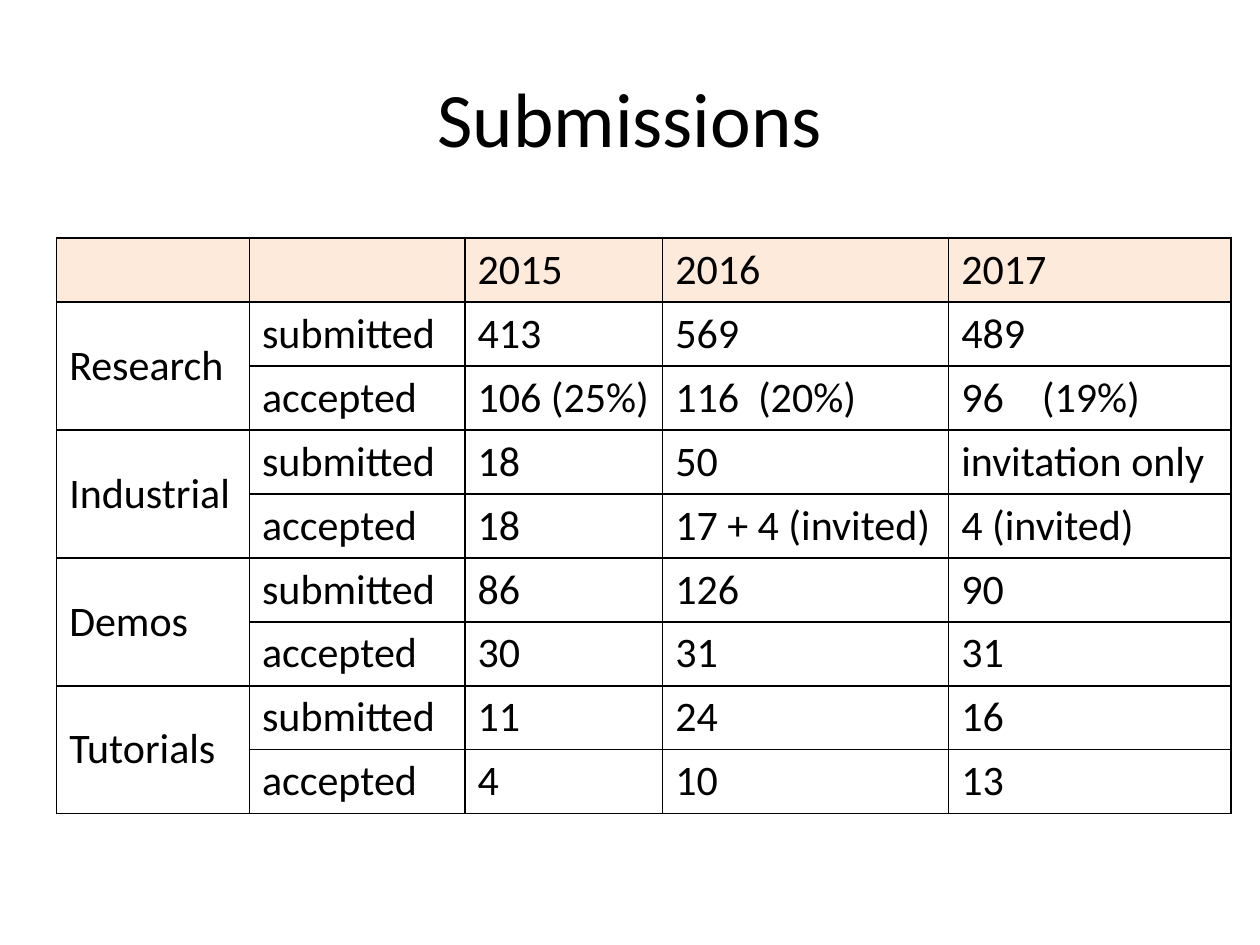
import pptx
import pptx.dml.color
import pptx.enum.text
import pptx.oxml
import pptx.oxml.ns
import pptx.util

WIDTH, HEIGHT = 10, 7.5
FONT = "Calibri"
COLORS = {"text": "000000", "border": "000000", "header": "FDEADA"}
COLUMN_WIDTHS = [1.53, 1.71, 1.57, 2.27, 2.24]
TABLE_HEIGHT = 4.57
YEARS = ["2015", "2016", "2017"]
TRACKS = {
    "Research": (["413", "569", "489"],
                 ["106 (25%)", "116  (20%)", "96    (19%)"]),
    "Industrial": (["18", "50", "invitation only"],
                   ["18", "17 + 4 (invited)", "4 (invited)"]),
    "Demos": (["86", "126", "90"], ["30", "31", "31"]),
    "Tutorials ": (["11", "24", "16"], ["4", "10", "13"]),
}


def color(name):
    """Look up a named colour."""
    return pptx.dml.color.RGBColor.from_string(COLORS[name])


def write(frame, text, size):
    """Put text into a frame and format its runs."""
    frame.text = text
    for paragraph in frame.paragraphs:
        for span in paragraph.runs:
            span.font.name = FONT
            span.font.size = pptx.util.Pt(size)
            span.font.color.rgb = color("text")


def add_title(page, text):
    """Add the centred slide title."""
    box = page.shapes.add_textbox(*(pptx.util.Inches(share) for share in (
        0.05 * WIDTH, 0.04 * HEIGHT, 0.9 * WIDTH, HEIGHT / 6)))
    frame = box.text_frame
    frame.word_wrap = True
    frame.vertical_anchor = pptx.enum.text.MSO_ANCHOR.MIDDLE
    write(frame, text, 44)
    frame.paragraphs[0].alignment = pptx.enum.text.PP_ALIGN.CENTER


def add_borders(cell):
    """Draw a 1 pt line on all four sides of a cell."""
    properties = cell._tc.get_or_add_tcPr()
    for side in ("lnL", "lnR", "lnT", "lnB"):
        properties.append(pptx.oxml.parse_xml(
            f'<a:{side} {pptx.oxml.ns.nsdecls("a")} w="{pptx.util.Pt(1)}">'
            f'<a:solidFill><a:srgbClr val="{COLORS["border"]}"/></a:solidFill>'
            f'</a:{side}>'))


def style_cell(cell, fill_name=None):
    """Give a cell its borders and, for the header, its fill."""
    add_borders(cell)
    if fill_name:
        cell.fill.solid()
        cell.fill.fore_color.rgb = color(fill_name)
    else:
        cell.fill.background()


def table_rows():
    """List the header and the two rows of each track."""
    rows = [["", "", *YEARS]]
    for track, (submitted, accepted) in TRACKS.items():
        rows.append([track, "submitted", *submitted])
        rows.append(["", "accepted", *accepted])
    return rows


def add_submissions_table(page):
    """Add the table of submissions with merged track names."""
    rows = table_rows()
    table = page.shapes.add_table(
        len(rows), len(COLUMN_WIDTHS),
        pptx.util.Inches(0.45), pptx.util.Inches(1.89),
        pptx.util.Inches(sum(COLUMN_WIDTHS)),
        pptx.util.Inches(TABLE_HEIGHT)).table
    for column, width in zip(table.columns, COLUMN_WIDTHS):
        column.width = pptx.util.Inches(width)
    for row_index, values in enumerate(rows):
        for column_index, value in enumerate(values):
            cell = table.cell(row_index, column_index)
            style_cell(cell, "header" if row_index == 0 else None)
            write(cell.text_frame, value, 24)
    for first in range(1, len(rows), 2):
        track_cell = table.cell(first, 0)
        track_cell.merge(table.cell(first + 1, 0))
        track_cell.vertical_anchor = pptx.enum.text.MSO_ANCHOR.MIDDLE


def main():
    """Build and save the slide."""
    deck = pptx.Presentation()
    deck.slide_width = pptx.util.Inches(WIDTH)
    deck.slide_height = pptx.util.Inches(HEIGHT)
    page = deck.slides.add_slide(deck.slide_layouts[6])
    add_title(page, "Submissions")
    add_submissions_table(page)
    deck.save("out.pptx")


main()
